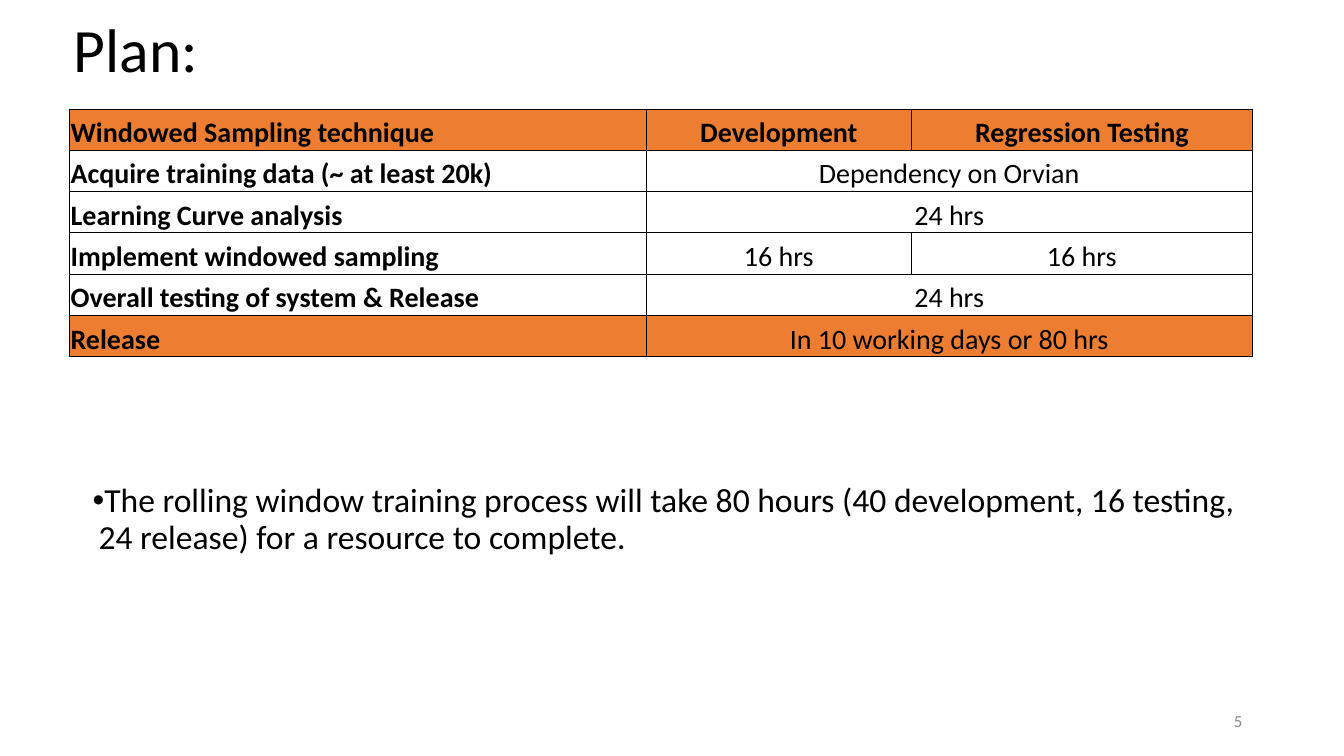
from dataclasses import dataclass

from lxml import etree
from pptx import Presentation
from pptx.dml.color import RGBColor
from pptx.enum.text import MSO_ANCHOR, MSO_AUTO_SIZE, PP_ALIGN
from pptx.oxml.ns import qn
from pptx.util import Inches, Pt

LEFT, CENTER, RIGHT = PP_ALIGN.LEFT, PP_ALIGN.CENTER, PP_ALIGN.RIGHT
TOP, MIDDLE, BOTTOM = MSO_ANCHOR.TOP, MSO_ANCHOR.MIDDLE, MSO_ANCHOR.BOTTOM
NO_AUTOFIT = MSO_AUTO_SIZE.NONE
TITLE_ONLY = 5


@dataclass(frozen=True)
class Theme:
    font: str = "Calibri"
    ink: str = "000000"
    muted: str = "888888"
    accent: str = "ED7D31"
    title_size: int = 44
    body_size: int = 24
    table_size: int = 20
    number_size: int = 12
    border: float = 0.5


def write_text(frame, text, *, font, size, color, bold=False, align=LEFT,
               line_spacing=1.0, space_before=0):
    """Put one formatted paragraph in a text frame and return it."""
    paragraph = frame.paragraphs[0]
    paragraph.alignment = align
    paragraph.line_spacing = line_spacing
    paragraph.space_before = Pt(space_before)
    run = paragraph.add_run()
    run.text = text
    run.font.name = font
    run.font.size = Pt(size)
    run.font.bold = bold
    run.font.color.rgb = RGBColor.from_string(color)
    return paragraph


def set_bullet(paragraph, char, color, margin, indent):
    props = paragraph._p.get_or_add_pPr()
    props.set("marL", str(Inches(margin)))
    props.set("indent", str(Inches(indent)))
    bullet_color = etree.SubElement(props, qn("a:buClr"))
    etree.SubElement(bullet_color, qn("a:srgbClr"), val=color)
    etree.SubElement(props, qn("a:buFont"), typeface="Arial")
    etree.SubElement(props, qn("a:buChar"), char=char)


def set_borders(cell, color, width):
    props = cell._tc.get_or_add_tcPr()
    for position, side in enumerate(("lnL", "lnR", "lnT", "lnB")):
        line = etree.Element(qn(f"a:{side}"), w=str(Pt(width)))
        fill = etree.SubElement(line, qn("a:solidFill"))
        etree.SubElement(fill, qn("a:srgbClr"), val=color)
        props.insert(position, line)


class SlideBuilder:
    def __init__(self, slide, theme):
        self.slide = slide
        self.theme = theme

    def fill_box(self, shape, box, text, inset, anchor, **style):
        shape.left, shape.top, shape.width, shape.height = map(Inches, box)
        frame = shape.text_frame
        frame.word_wrap = True
        frame.auto_size = NO_AUTOFIT
        frame.vertical_anchor = anchor
        frame.margin_left = frame.margin_right = Inches(0.1)
        frame.margin_top = frame.margin_bottom = Inches(inset)
        return write_text(frame, text, font=self.theme.font, **style)

    def title(self, text, box):
        self.fill_box(self.slide.shapes.title, box, text, 0.1, MIDDLE,
                      size=self.theme.title_size, color=self.theme.ink,
                      line_spacing=0.9)

    def text(self, text, box, inset=0.1, anchor=TOP, **style):
        shape = self.slide.shapes.add_textbox(*map(Inches, box))
        return self.fill_box(shape, box, text, inset, anchor, **style)

    def bullet(self, text, box):
        paragraph = self.text(text, box, size=self.theme.body_size,
                              color=self.theme.ink, line_spacing=0.9,
                              space_before=10)
        set_bullet(paragraph, "•", self.theme.ink, 0.25, -0.06)

    def cell(self, cell, text, bold, align, filled):
        cell.margin_left = cell.margin_right = cell.margin_top = Inches(0.01)
        cell.margin_bottom = 0
        cell.vertical_anchor = BOTTOM
        if filled:
            cell.fill.solid()
            cell.fill.fore_color.rgb = RGBColor.from_string(self.theme.accent)
        else:
            cell.fill.background()
        set_borders(cell, self.theme.ink, self.theme.border)
        if text:
            write_text(cell.text_frame, text, font=self.theme.font,
                       size=self.theme.table_size, color=self.theme.ink,
                       bold=bold, align=align)

    def table(self, rows, left, top, widths, row_height, filled_rows):
        grid = self.slide.shapes.add_table(
            len(rows), len(widths), Inches(left), Inches(top),
            Inches(sum(widths)), Inches(row_height * len(rows))).table
        grid.first_row = grid.horz_banding = False
        for column, width in zip(grid.columns, widths):
            column.width = Inches(width)
        for r, values in enumerate(rows):
            grid.rows[r].height = Inches(row_height)
            for c in range(len(widths)):
                self.cell(grid.cell(r, c), values[c] if c < len(values) else "",
                          bold=r == 0 or c == 0, align=CENTER if c else LEFT,
                          filled=r in filled_rows)
            # A short row stretches its last value to the right edge
            if len(values) < len(widths):
                grid.cell(r, len(values) - 1).merge(grid.cell(r, len(widths) - 1))


theme = Theme()
deck = Presentation()
deck.slide_width, deck.slide_height = Inches(13.33), Inches(7.5)
plan = SlideBuilder(deck.slides.add_slide(deck.slide_layouts[TITLE_ONLY]), theme)

# Title
plan.title("Plan:", (0.63, 0.13, 11.5, 0.78))

# Slide number
plan.text("5", (9.42, 6.95, 3, 0.4), inset=0.05, anchor=MIDDLE,
          size=theme.number_size, color=theme.muted, align=RIGHT)

# Summary of effort
plan.bullet("The rolling window training process will take 80 hours "
            "(40 development, 16 testing, 24 release) for a resource to complete.",
            (0.63, 4.7, 11.93, 1.33))

# Schedule
schedule = [
    ("Windowed Sampling technique", "Development", "Regression Testing"),
    ("Acquire training data (~ at least 20k)", "Dependency on Orvian"),
    ("Learning Curve analysis", "24 hrs"),
    ("Implement windowed sampling", "16 hrs", "16 hrs"),
    ("Overall testing of system & Release", "24 hrs"),
    ("Release", "In 10 working days or 80 hrs"),
]
plan.table(schedule, 0.69, 1.08, (5.72, 2.63, 3.38), 0.41,
           filled_rows=(0, len(schedule) - 1))

deck.save("out.pptx")
